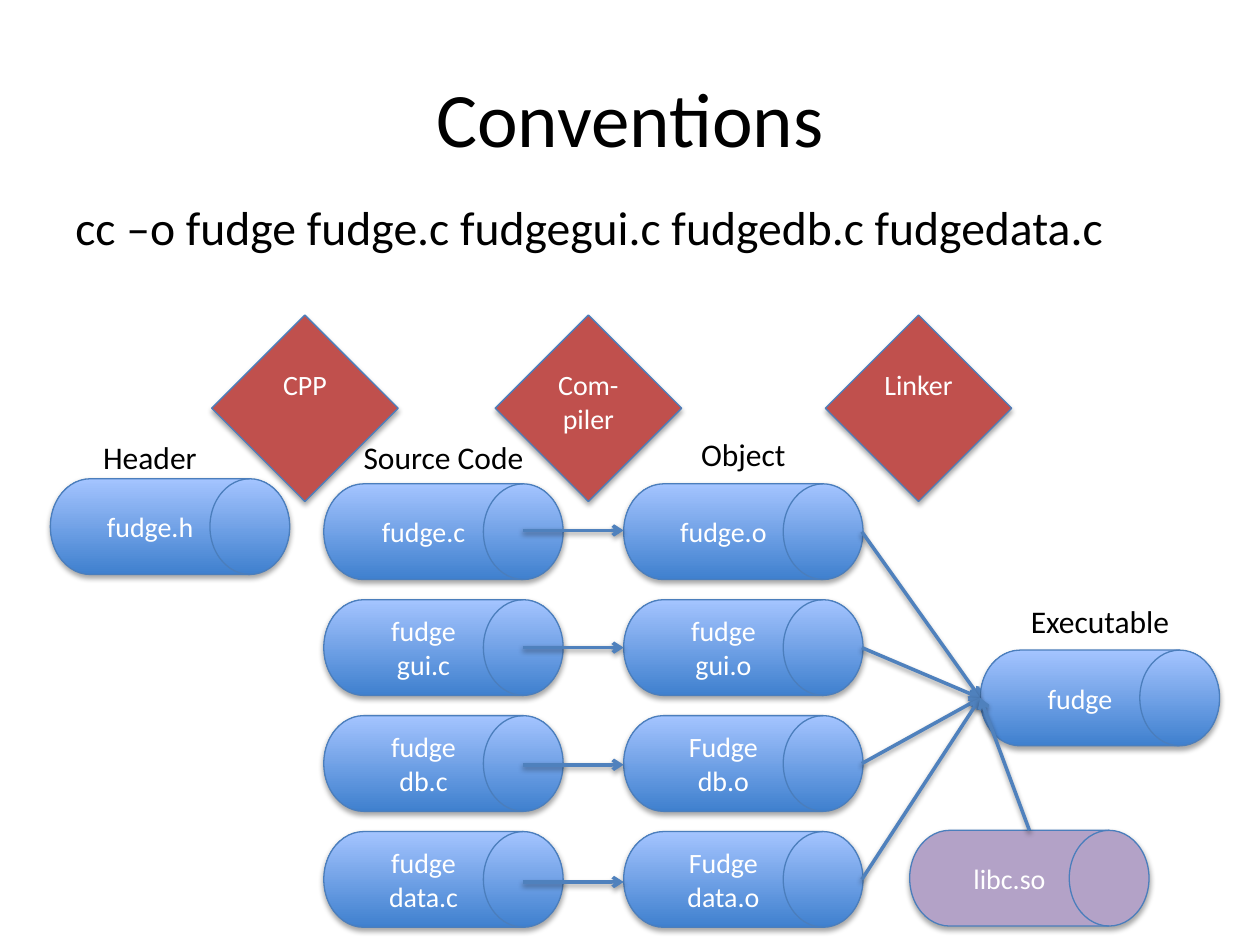
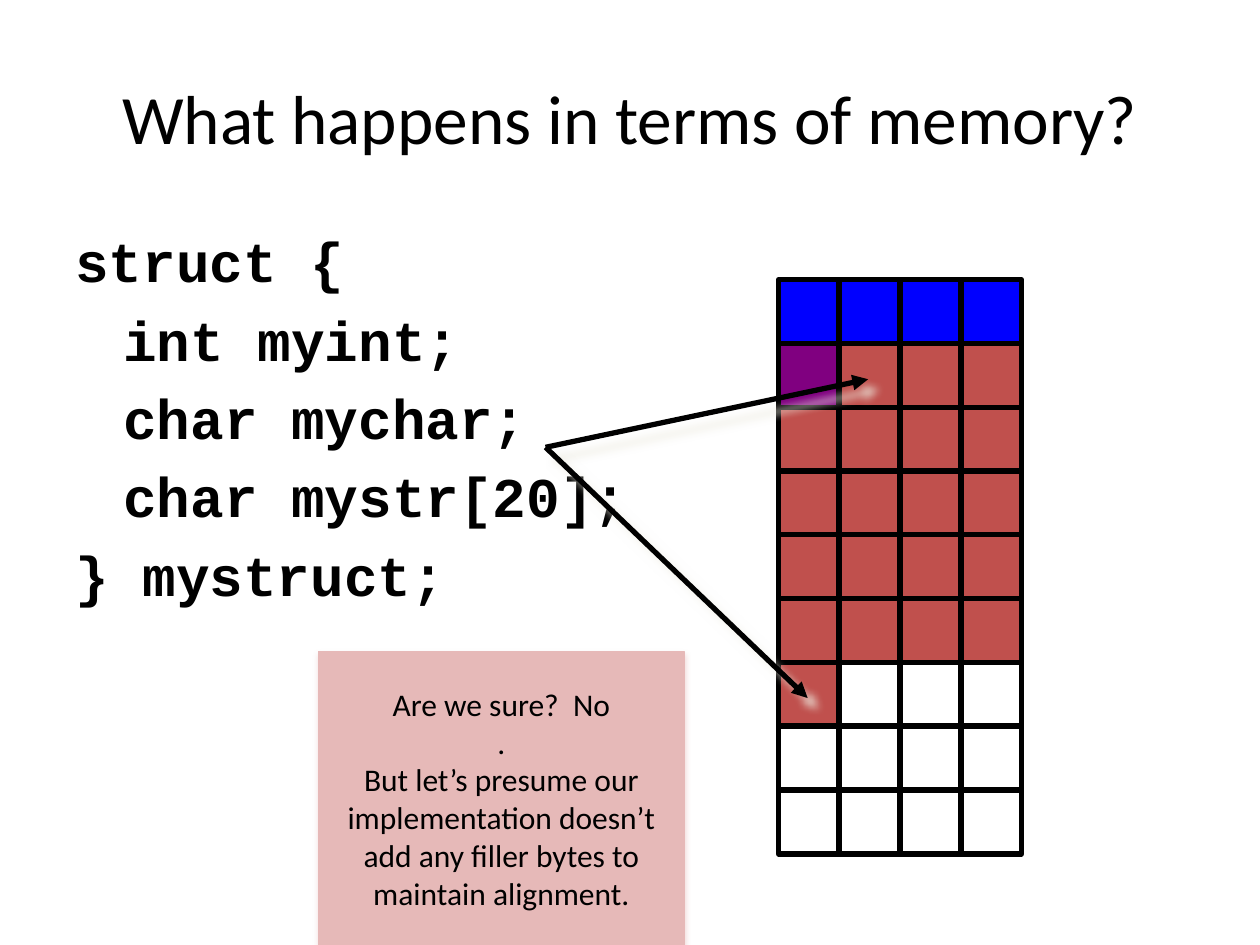
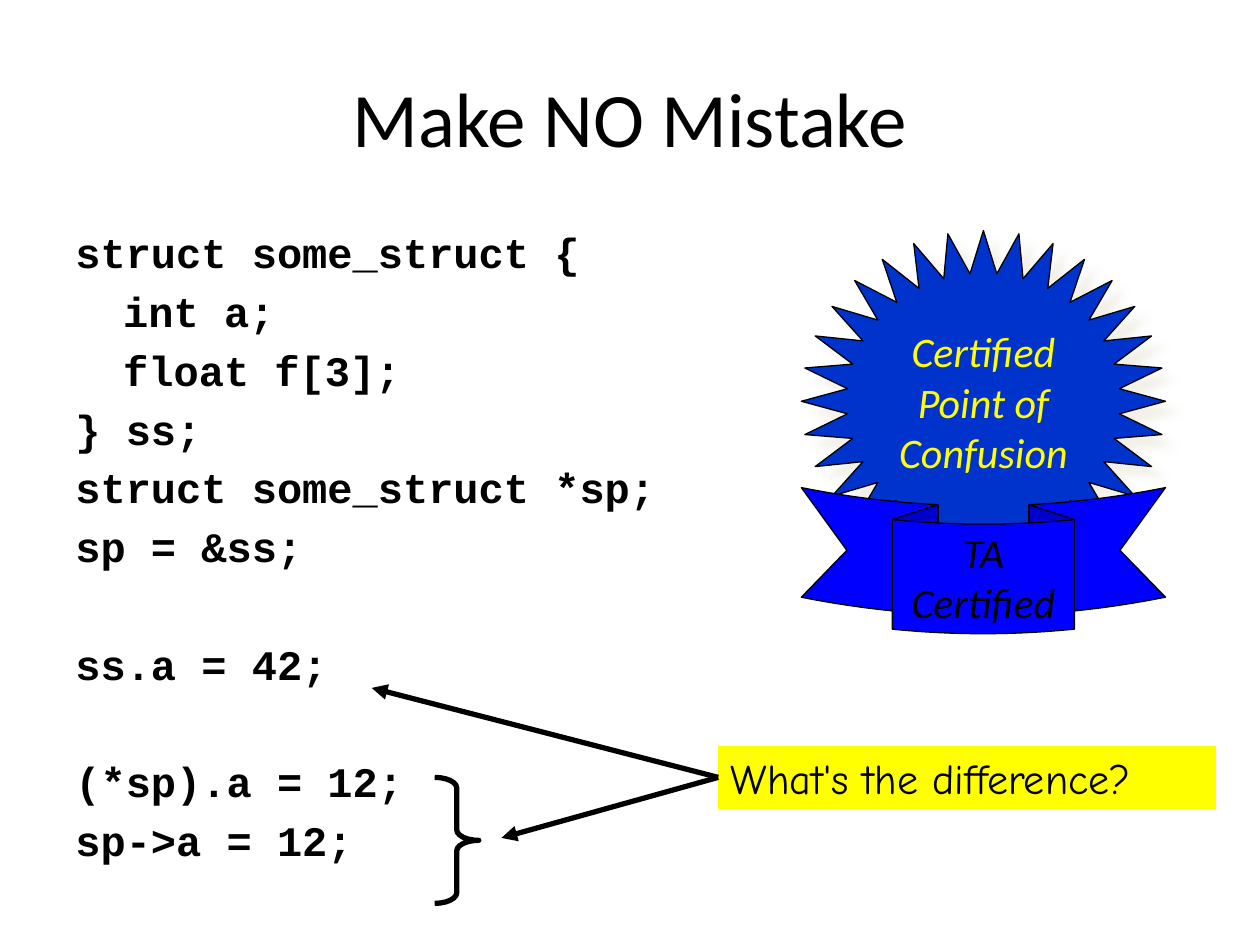
"""Build three lecture slides on compiling, struct memory and struct access."""
from dataclasses import dataclass

from lxml import etree
from pptx import Presentation
from pptx.dml.color import RGBColor
from pptx.enum import shapes, text
from pptx.oxml.ns import qn
from pptx.util import Inches, Pt

SANS, MONO, COMIC = "Calibri", "Courier New", "Comic Neue"
BLACK, WHITE, YELLOW, BLUE = "000000", "FFFFFF", "FFFF00", "0000FF"
RED, PURPLE, EDGE, ARROW = "C0504D", "800080", "4B7EBC", "4F81BD"
DRUM_GRADIENT = ("3F80CE", "A4C4FF")
DRUM_WIDTH, DRUM_HEIGHT = 1.9, 0.76
ROW_TOP, ROW_PITCH = 3.84, 0.92
KIND = shapes.MSO_SHAPE
CENTER, LEFT = text.PP_ALIGN.CENTER, text.PP_ALIGN.LEFT
MIDDLE, TOP = text.MSO_ANCHOR.MIDDLE, text.MSO_ANCHOR.TOP


@dataclass(frozen=True)
class Style:
    size: float
    color: str = BLACK
    font: str = SANS
    bold: bool = False
    italic: bool = False
    align: text.PP_ALIGN = CENTER
    anchor: text.MSO_ANCHOR = MIDDLE
    wrap: bool = True


@dataclass(frozen=True)
class Shadow:
    color: str
    opacity: int
    blur: float
    distance: float
    angle: int


@dataclass(frozen=True)
class Drum:
    words: str
    left: float
    top: float
    fill: str | tuple = DRUM_GRADIENT


@dataclass(frozen=True)
class Label:
    words: str
    left: float
    top: float
    width: float = 1.38


SOFT = Shadow(BLACK, 35, 3.1, 1.8, 90)
ARROW_SHADOW = Shadow(BLACK, 38, 3.1, 1.6, 90)
PINK_SHADOW = Shadow("D99694", 35, 3.1, 1.8, 90)
CREAM_SHADOW = Shadow("EEECE1", 75, 5, 8.5, 45)

DRUM_TEXT = Style(16, WHITE)
DIAMOND_TEXT = Style(16, WHITE, anchor=TOP)
LABEL_TEXT = Style(18, anchor=TOP)


def rgb(value: str) -> RGBColor:
    """Turn a hex string into a colour."""
    return RGBColor.from_string(value)


def area(left: float, top: float, width: float, height: float) -> tuple:
    """Turn four numbers of inches into lengths."""
    return tuple(Inches(value) for value in (left, top, width, height))


def write(shape, words: str, style: Style) -> None:
    """Put words into a shape and format every run."""
    frame = shape.text_frame
    frame.text = words
    frame.word_wrap = style.wrap
    frame.vertical_anchor = style.anchor
    for para in frame.paragraphs:
        para.alignment = style.align
        for span in para.runs:
            font = span.font
            font.name, font.size = style.font, Pt(style.size)
            font.bold, font.italic = style.bold, style.italic
            font.color.rgb = rgb(style.color)


def cast(shape, shadow: Shadow | None) -> None:
    """Replace the theme shadow by the given one, or by none."""
    properties = shape.element.spPr
    effects = properties.find(qn("a:effectLst"))
    if effects is None:
        effects = etree.SubElement(properties, qn("a:effectLst"))
    if shadow:
        outer = etree.SubElement(
            effects, qn("a:outerShdw"), blurRad=str(Pt(shadow.blur)), dist=str(Pt(shadow.distance)),
            dir=str(shadow.angle * 60000), algn="tl", rotWithShape="0")
        color = etree.SubElement(outer, qn("a:srgbClr"), val=shadow.color)
        etree.SubElement(color, qn("a:alpha"), val=str(shadow.opacity * 1000))


def add_box(page, kind, place: tuple, fill: str | tuple | None = None, line: str | None = None,
            weight: float = 0.75, shadow: Shadow | None = None, adjust: tuple = ()):
    """Draw a preset shape with a plain, gradient or empty fill."""
    box = page.shapes.add_shape(kind, *area(*place))
    for index, value in enumerate(adjust):
        box.adjustments[index] = value
    if fill is None:
        box.fill.background()
    elif isinstance(fill, str):
        box.fill.solid()
        box.fill.fore_color.rgb = rgb(fill)
    else:
        box.fill.gradient()
        box.fill.gradient_angle = 90
        for stop, color in zip(box.fill.gradient_stops, fill):
            stop.color.rgb = rgb(color)
    if line:
        box.line.color.rgb = rgb(line)
        box.line.width = Pt(weight)
    else:
        box.line.fill.background()
    box.shadow.inherit = False
    cast(box, shadow)
    return box


def add_text(page, words: str, place: tuple, style: Style):
    """Draw a text box."""
    box = page.shapes.add_textbox(*area(*place))
    write(box, words, style)
    return box


def add_arrow(page, start: tuple, end: tuple, color: str = BLACK, weight: float = 3,
              head: str = "triangle", shadow: Shadow | None = None) -> None:
    """Draw a straight arrow pointing at its end."""
    ends = [Inches(value) for value in (*start, *end)]
    arrow = page.shapes.add_connector(shapes.MSO_CONNECTOR.STRAIGHT, *ends)
    arrow.line.color.rgb = rgb(color)
    arrow.line.width = Pt(weight)
    etree.SubElement(arrow.element.spPr.find(qn("a:ln")), qn("a:tailEnd"), type=head)
    cast(arrow, shadow)


def add_page(deck, title: str, size: float = 44):
    """Add a blank slide with the shared title."""
    page = deck.slides.add_slide(deck.slide_layouts[6])
    add_text(page, title, (0.5, 0.3, 9, 1.25), Style(size))
    return page


def add_code(page, blocks: list[str], place: tuple, size: float) -> None:
    """Write code blocks, one empty line apart, with tabs at the hanging indent."""
    style = Style(size, font=MONO, bold=True, align=LEFT, anchor=TOP)
    box = add_text(page, "\n".join(blocks), place, style)
    gap, line_height = size * 0.2, size * 1.2
    paras = iter(box.text_frame.paragraphs)
    for number, block in enumerate(blocks):
        for row, _ in enumerate(block.split("\n")):
            para = next(paras)
            opens_block = number > 0 and row == 0
            para.space_before = Pt(2 * gap + line_height if opens_block else gap)
            properties = para._p.get_or_add_pPr()
            properties.set("marL", str(Inches(0.38)))
            properties.set("indent", str(Inches(-0.38)))


def build_conventions(deck) -> None:
    """Draw the path from source files to the executable."""
    page = add_page(deck, "Conventions")
    command = add_text(page, "cc –o fudge fudge.c fudgegui.c fudgedb.c fudgedata.c",
                       (0.5, 1.52, 9, 0.61), Style(27.2, align=LEFT, anchor=TOP))
    command.text_frame.paragraphs[0].space_before = Pt(3)

    columns = {
        2.57: ("fudge.c", "fudge\vgui.c", "fudge\ndb.c", "fudge\ndata.c"),
        4.95: ("fudge.o", "fudge\vgui.o", "Fudge\ndb.o", "Fudge\ndata.o"),
    }
    drums = [Drum("fudge.h", 0.4, 3.8)]
    drums += [Drum(words, left, ROW_TOP + row * ROW_PITCH)
              for left, names in columns.items() for row, words in enumerate(names)]
    drums += [Drum("fudge", 7.78, 5.16)]
    library = Drum("libc.so", 7.22, 6.59, "B3A2C7")

    def draw(drum: Drum) -> None:
        """Draw one file as a drum."""
        place = (drum.left, drum.top, DRUM_WIDTH, DRUM_HEIGHT)
        box = add_box(page, KIND.FLOWCHART_DIRECT_ACCESS_STORAGE, place, drum.fill, EDGE, shadow=SOFT)
        write(box, drum.words, DRUM_TEXT)

    def link(start: tuple, end: tuple) -> None:
        """Draw one open blue arrow."""
        add_arrow(page, start, end, ARROW, 2, "arrow", ARROW_SHADOW)

    for drum in drums:
        draw(drum)
    target = (7.78, 5.54)
    for row in range(4):
        level = 4.21 + row * 0.93
        link((4.15, level), (4.95, level))
        link((6.84, ROW_TOP + DRUM_HEIGHT / 2 + row * ROW_PITCH), target)

    for label in (Label("Header", 0.5, 3.43), Label("Source Code", 2.74, 3.43, 1.56),
                  Label("Executable", 8.04, 4.73), Label("Object", 5.21, 3.4)):
        add_text(page, label.words, (label.left, label.top, label.width, 0.4), LABEL_TEXT)
    for words, left in (("CPP", 1.68), ("Com-\npiler", 3.93), ("Linker", 6.55)):
        tool = add_box(page, KIND.DIAMOND, (left, 2.5, 1.48, 1.48), RED, EDGE, shadow=SOFT)
        write(tool, words, DIAMOND_TEXT)
    draw(library)
    link((8.17, 6.59), target)


def build_memory(deck) -> None:
    """Draw a struct beside its bytes in memory."""
    page = add_page(deck, "What happens in terms of memory?", 39.6)
    code = "struct {\n\tint myint;\n\tchar mychar;\n\tchar mystr[20];\n} mystruct;"
    add_code(page, [code], (0.5, 1.75, 4.86, 5.58), 32)

    cells = [BLUE] * 4 + [PURPLE] + [RED] * 20 + [None] * 11
    for index, fill in enumerate(cells):
        row, column = divmod(index, 4)
        place = (6.18 + column * 0.482, 2.22 + row * 0.506, 0.48, 0.51)
        add_box(page, KIND.RECTANGLE, place, fill, BLACK, 3)
    for end in ((6.89, 3.01), (6.41, 5.54)):
        add_arrow(page, (4.33, 3.55), end, shadow=CREAM_SHADOW)

    remark = add_box(page, KIND.RECTANGLE, (2.53, 5.17, 2.9, 2.33), "E6B9B8", "E6B9B8", shadow=PINK_SHADOW)
    write(remark, "Are we sure?  No\n.\nBut let’s presume our implementation doesn’t "
                  "add any filler bytes to maintain alignment.", Style(18))


def build_mistake(deck) -> None:
    """Draw struct access code with a question and a badge."""
    page = add_page(deck, "Make NO Mistake")
    blocks = [
        "struct some_struct {\n\tint a;\n\tfloat f[3];\n} ss;\nstruct some_struct *sp;\nsp = &ss;",
        "ss.a = 42;",
        "(*sp).a = 12;\nsp->a = 12;",
    ]
    add_code(page, blocks, (0.5, 1.75, 9, 5.42), 24)

    question = add_box(page, KIND.RECTANGLE, (5.7, 5.92, 3.95, 0.5), YELLOW)
    write(question, "What's the difference?", Style(24, font=COMIC, align=LEFT, anchor=TOP))
    for end in ((2.95, 5.46), (3.98, 6.65)):
        add_arrow(page, (5.7, 6.17), end)
    add_box(page, KIND.RIGHT_BRACE, (3.45, 6.17, 0.35, 1), None, BLACK, 3, adjust=(0.24, 0.5))

    star = add_box(page, KIND.STAR_32_POINT, (6.36, 1.83, 2.89, 2.71), "0033CC", BLACK,
                   shadow=CREAM_SHADOW, adjust=(0.375,))
    write(star, "Certified\nPoint of\nConfusion", Style(24, YELLOW, italic=True, wrap=False))
    ribbon = add_box(page, KIND.CURVED_DOWN_RIBBON, (6.36, 3.87, 2.89, 1.16), BLUE, BLACK,
                     adjust=(0.25, 0.5, 0.125))
    write(ribbon, "TA\nCertified", Style(24, italic=True, wrap=False))


def main() -> None:
    """Build the deck and save it."""
    deck = Presentation()
    deck.slide_width, deck.slide_height = Inches(10), Inches(7.5)
    build_conventions(deck)
    build_memory(deck)
    build_mistake(deck)
    deck.save("out.pptx")


main()
